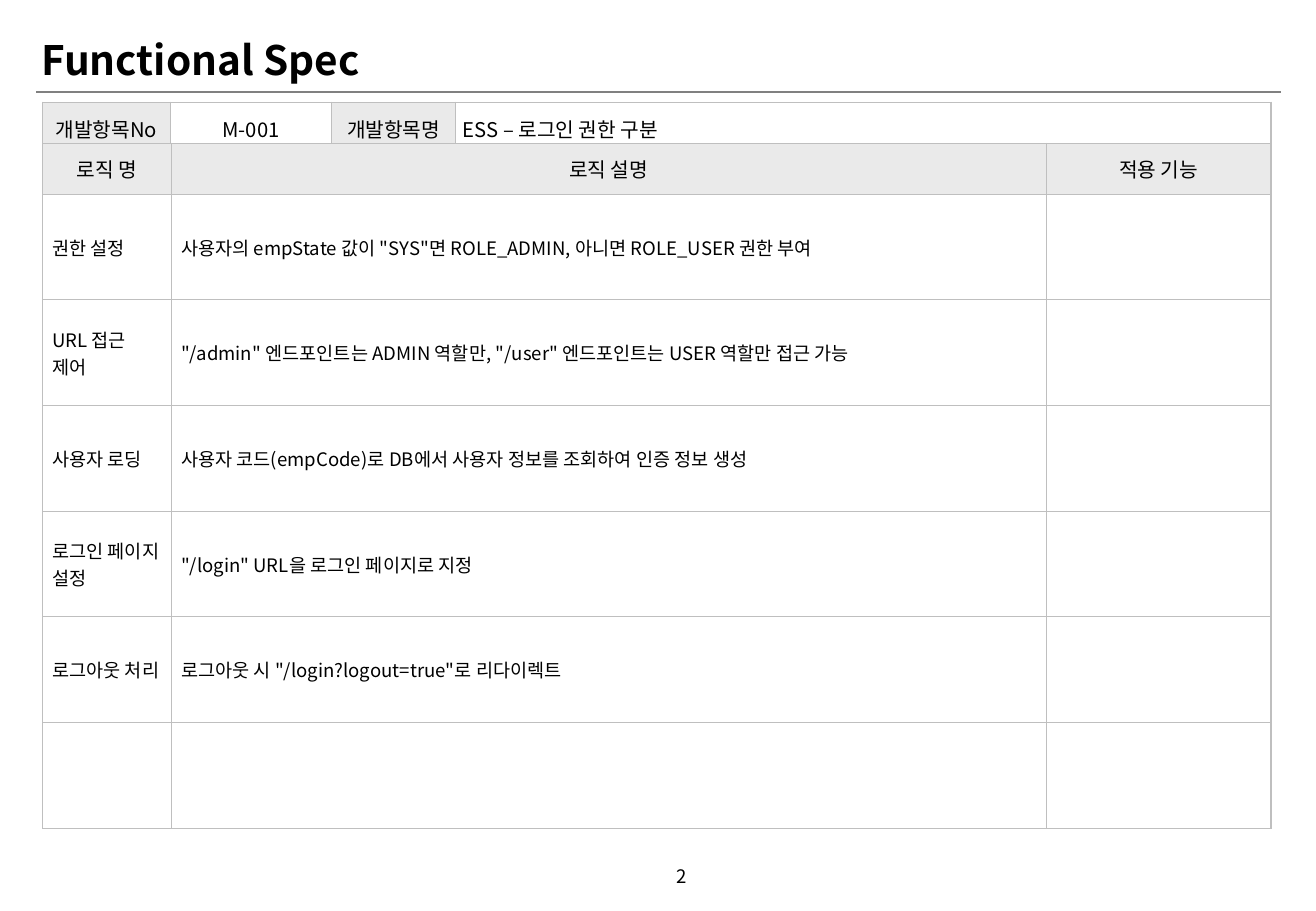
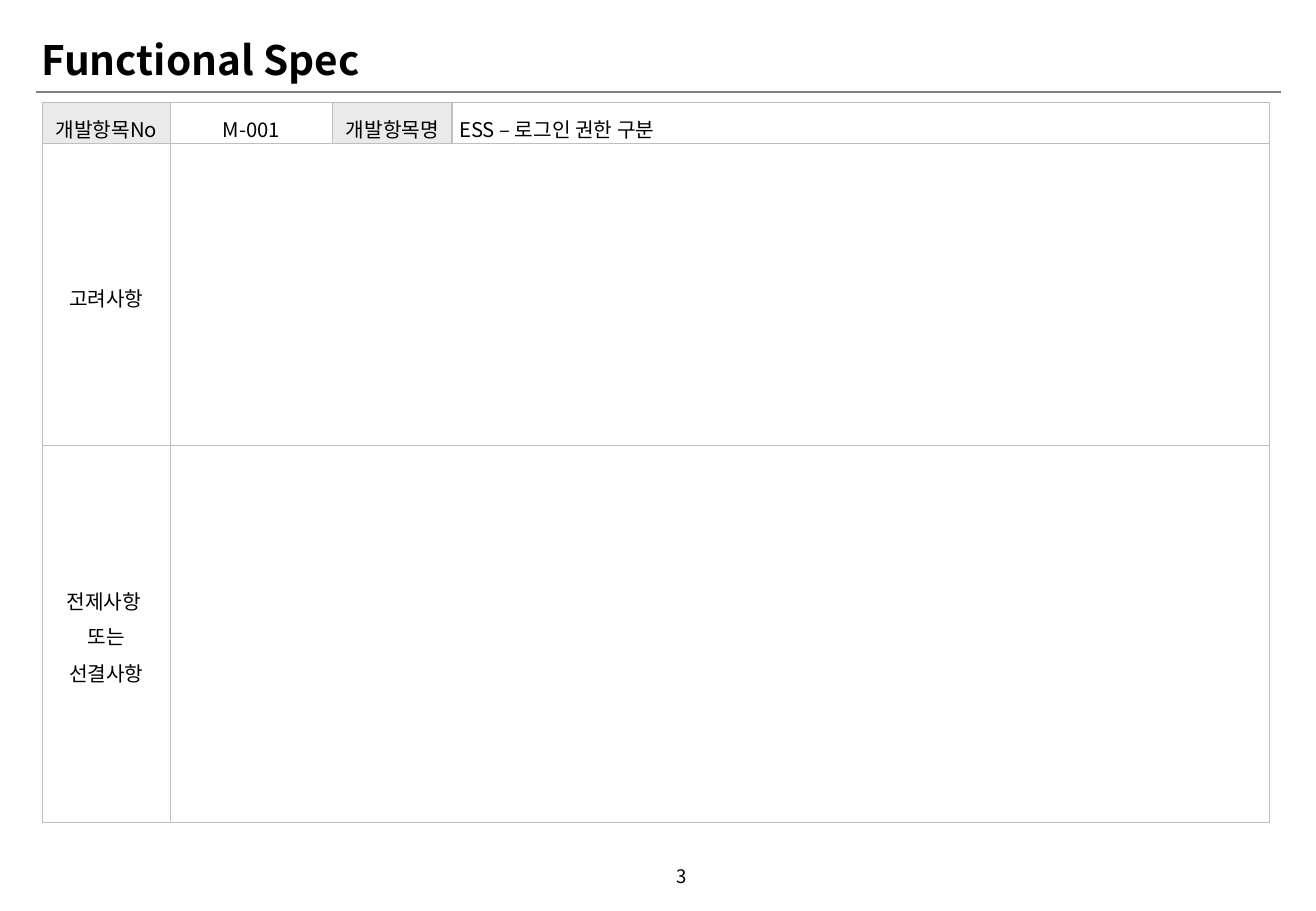
from collections import namedtuple

from lxml.etree import SubElement
from pptx import Presentation
from pptx.dml.color import RGBColor
from pptx.enum.shapes import MSO_CONNECTOR as Connector
from pptx.enum.text import MSO_ANCHOR as Anchor, MSO_AUTO_SIZE as AutoSize, PP_ALIGN as Align
from pptx.oxml.ns import qn
from pptx.util import Inches, Pt

BLACK = RGBColor(0x00, 0x00, 0x00)
WHITE = RGBColor(0xFF, 0xFF, 0xFF)
LABEL_GRAY = RGBColor(0xEA, 0xEA, 0xEA)
BORDER_GRAY = RGBColor(0xBF, 0xBF, 0xBF)
RULE_GRAY = RGBColor(0x80, 0x80, 0x80)
FONT = "Noto Sans CJK KR"

Style = namedtuple("Style", "size fill align spacing before side edge")
ITEM_LABEL = Style(12, LABEL_GRAY, Align.CENTER, 1.2, 0, 0.06, 0.05)
ITEM_VALUE = ITEM_LABEL._replace(fill=WHITE)
ITEM_NAME = ITEM_VALUE._replace(align=Align.LEFT)
HEADING = Style(12, LABEL_GRAY, Align.CENTER, 1.0, 0, 0.04, 0.02)
LOGIC = Style(11, WHITE, Align.LEFT, 1.0, 0, 0.08, 0.05)
NOTE = Style(12, WHITE, Align.CENTER, 1.2, 1.2, 0.04, 0.02)


def add_text(para, text, size, bold=False):
    for index, line in enumerate(text.split("\v")):
        if index:
            para.add_line_break()
        span = para.add_run()
        span.text = line
        span.font.size = Pt(size)
        span.font.bold = bold
        span.font.name = FONT
        span.font.color.rgb = BLACK
        SubElement(span.font._element, qn("a:ea"), typeface=FONT)


def add_grid(page, top, widths, heights, rows):
    frame = page.shapes.add_table(len(heights), len(widths), Inches(0.35), Inches(top),
                                  Inches(sum(widths)), Inches(sum(heights)))
    table = frame.table
    table.first_row = table.horz_banding = False
    for column, width in zip(table.columns, widths):
        column.width = Inches(width)
    for row, height in zip(table.rows, heights):
        row.height = Inches(height)
    for row, entries in zip(table.rows, rows):
        for cell, (text, style) in zip(row.cells, entries):
            cell.vertical_anchor = Anchor.MIDDLE
            cell.margin_left = cell.margin_right = Inches(style.side)
            cell.margin_top = cell.margin_bottom = Inches(style.edge)
            properties = cell._tc.get_or_add_tcPr()
            for side in ("lnL", "lnR", "lnT", "lnB"):
                border = SubElement(properties, qn(f"a:{side}"), w=str(Pt(0.75)))
                paint = SubElement(border, qn("a:solidFill"))
                SubElement(paint, qn("a:srgbClr"), val=str(BORDER_GRAY))
            cell.fill.solid()
            cell.fill.fore_color.rgb = style.fill
            if not text:
                continue
            for index, part in enumerate(text.split("\n")):
                para = cell.text_frame.add_paragraph() if index else cell.text_frame.paragraphs[0]
                para.alignment = style.align
                para.line_spacing = style.spacing
                para.space_before = Pt(style.before)
                add_text(para, part, style.size)
    return table


deck = Presentation()
deck.slide_width, deck.slide_height = Inches(10.83), Inches(7.5)
layout = deck.slide_layouts[5]
layout_title = layout.placeholders[0]
layout_title.left, layout_title.top = Inches(0.24), Inches(0.28)
layout_title.width, layout_title.height = Inches(6.52), Inches(0.46)

pages = [deck.slides.add_slide(layout) for number in range(2)]
rule = pages[0].shapes.add_connector(Connector.STRAIGHT, Inches(0.3), Inches(0.76),
                                     Inches(10.54), Inches(0.76))
rule.line.color.rgb = RULE_GRAY
rule.line.width = Pt(1.25)
SubElement(rule._element.spPr, qn("a:effectLst"))
layout.shapes.element.append(rule._element)

for number, page in enumerate(pages, 2):
    title = page.shapes.title.text_frame
    title.auto_size = AutoSize.SHAPE_TO_FIT_TEXT
    title.vertical_anchor = Anchor.MIDDLE
    para = title.paragraphs[0]
    para.alignment = Align.LEFT
    para.line_spacing = 0.9
    add_text(para, "Functional Spec", 24, True)

    box = page.shapes.add_textbox(Inches(5.16), Inches(7.01), Inches(0.59), Inches(0.4))
    box.text_frame.word_wrap = True
    box.text_frame.vertical_anchor = Anchor.MIDDLE
    para = box.text_frame.paragraphs[0]
    para.alignment = Align.RIGHT
    add_text(para, str(number), 11)

item_row = [("개발항목No", ITEM_LABEL), ("M-001", ITEM_VALUE),
            ("개발항목명", ITEM_LABEL), ("ESS – 로그인 권한 구분", ITEM_NAME)]
headings = ["로직 명", "로직 설명", "적용 기능"]
logic = [
    ("권한 설정", '사용자의 empState 값이 "SYS"면 ROLE_ADMIN, 아니면 ROLE_USER 권한 부여'),
    ("URL 접근 제어", '"/admin" 엔드포인트는 ADMIN 역할만, "/user" 엔드포인트는 USER 역할만 접근 가능'),
    ("사용자 로딩", "사용자 코드(empCode)로 DB에서 사용자 정보를 조회하여 인증 정보 생성"),
    ("로그인 페이지 설정", '"/login" URL을 로그인 페이지로 지정'),
    ("로그아웃 처리", '로그아웃 시 "/login?logout=true"로 리다이렉트'),
    ("", ""),
]
logic_rows = [[(text, HEADING) for text in headings]]
logic_rows += [[(name, LOGIC), (detail, LOGIC), ("", LOGIC)] for name, detail in logic]
add_grid(pages[0], 0.84, [1.05, 1.33, 1.02, 6.71], [0.32], [item_row])
add_grid(pages[0], 1.18, [1.06, 7.2, 1.85], [0.42] + [0.87] * len(logic), logic_rows)

note_rows = [[(text, NOTE)] + [("", NOTE)] * 3
             for text in ("고려사항", "전제사항 \v또는\n선결사항")]
notes = add_grid(pages[1], 0.84, [1.05, 1.34, 0.98, 6.73], [0.33, 2.49, 3.1],
                 [item_row] + note_rows)
for row in (1, 2):
    notes.cell(row, 1).merge(notes.cell(row, 3))

deck.save("out.pptx")
